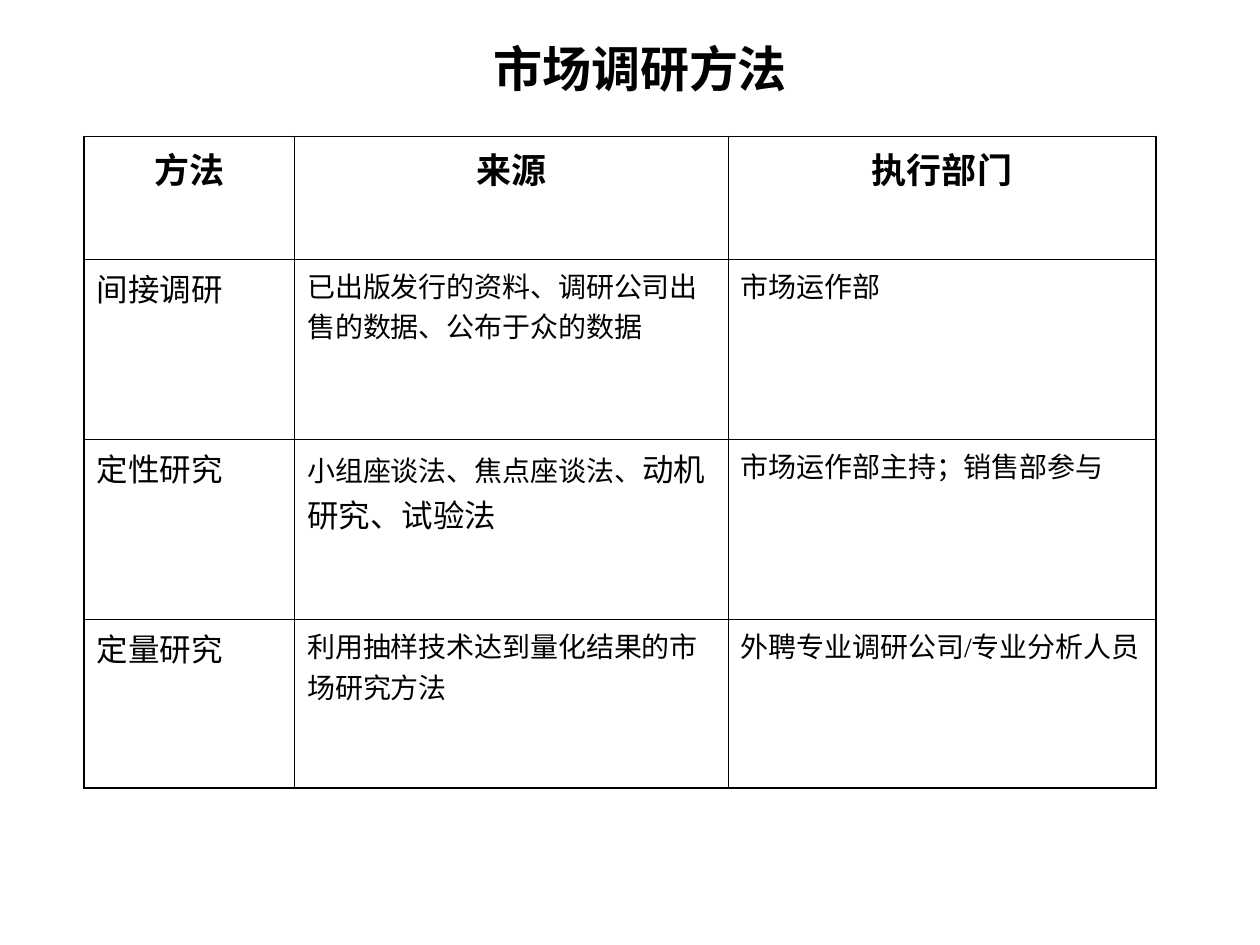
"""Build a slide with a table of market research methods."""
from dataclasses import dataclass

from lxml.etree import SubElement
from pptx import Presentation
from pptx.dml.color import RGBColor
from pptx.enum.lang import MSO_LANGUAGE_ID
from pptx.enum.text import MSO_ANCHOR, MSO_AUTO_SIZE, PP_ALIGN
from pptx.oxml.ns import qn
from pptx.util import Cm, Pt

FONT = "Times New Roman"
BLACK = "000000"
THICK, THIN = 1.08, 0.45
WIDTHS = (4.24, 8.74, 8.62)
HEIGHTS = (2.47, 3.63, 3.63, 3.4)


@dataclass
class Piece:
    text: str
    size: float


@dataclass
class Entry:
    chunks: tuple[Piece, ...]
    head: bool = False


def entry(text: str, size: float, head: bool = False) -> Entry:
    return Entry((Piece(text, size),), head)


ROWS = (
    tuple(entry(text, 20, True) for text in ("方法", "来源", "执行部门")),
    (
        entry("间接调研", 18),
        entry("已出版发行的资料、调研公司出售的数据、公布于众的数据", 16),
        entry("市场运作部", 16),
    ),
    (
        entry("定性研究", 18),
        Entry((Piece("小组座谈法、焦点座谈法、", 16), Piece("动机研究、试验法", 18))),
        entry("市场运作部主持；销售部参与", 16),
    ),
    (
        entry("定量研究", 18),
        entry("利用抽样技术达到量化结果的市场研究方法", 16),
        entry("外聘专业调研公司/专业分析人员", 16),
    ),
)


def paint(color, code: str) -> None:
    color.rgb = RGBColor.from_string(code)


def write(frame, item: Entry) -> None:
    para = frame.paragraphs[0]
    para.alignment = PP_ALIGN.CENTER if item.head else PP_ALIGN.LEFT
    font = para.font
    font.name, font.bold = FONT, item.head
    font.language_id = MSO_LANGUAGE_ID.SIMPLIFIED_CHINESE
    paint(font.color, BLACK)
    same = len({piece.size for piece in item.chunks}) == 1
    if same:
        font.size = Pt(item.chunks[0].size)
    for piece in item.chunks:
        run = para.add_run()
        run.text = piece.text
        if not same:
            run.font.size = Pt(piece.size)


def border(cell, side: str, width: float) -> None:
    line = SubElement(cell._tc.get_or_add_tcPr(), qn(f"a:ln{side}"), w=str(Pt(width)))
    fill = SubElement(line, qn("a:solidFill"))
    SubElement(fill, qn("a:srgbClr"), val=BLACK)


def add_title(slide, text: str) -> None:
    title = slide.shapes.title
    title.left, title.top = Cm(5.92), Cm(0.64)
    title.width, title.height = Cm(13.97), Cm(1.47)
    frame = title.text_frame
    frame.auto_size = MSO_AUTO_SIZE.NONE
    frame.vertical_anchor = MSO_ANCHOR.MIDDLE
    write(frame, entry(text, 28, True))


def add_grid(slide) -> None:
    frame = slide.shapes.add_table(
        len(ROWS), len(WIDTHS), Cm(1.7), Cm(2.75), Cm(sum(WIDTHS)), Cm(sum(HEIGHTS))
    )
    table = frame.table
    table.first_row = table.horz_banding = False
    for col, width in zip(table.columns, WIDTHS):
        col.width = Cm(width)
    for row, height in zip(table.rows, HEIGHTS):
        row.height = Cm(height)
    for i, items in enumerate(ROWS):
        for j, item in enumerate(items):
            cell = table.cell(i, j)
            edges = {
                "L": j == 0,
                "R": j == len(WIDTHS) - 1,
                "T": i == 0,
                "B": i == len(ROWS) - 1,
            }
            for side, outer in edges.items():
                border(cell, side, THICK if outer else THIN)
            cell.fill.background()
            write(cell.text_frame, item)


def main() -> None:
    deck = Presentation()
    deck.slide_width, deck.slide_height = Cm(25.4), Cm(19.05)
    slide = deck.slides.add_slide(deck.slide_layouts[5])
    add_title(slide, "市场调研方法")
    add_grid(slide)
    deck.save("out.pptx")


if __name__ == "__main__":
    main()
